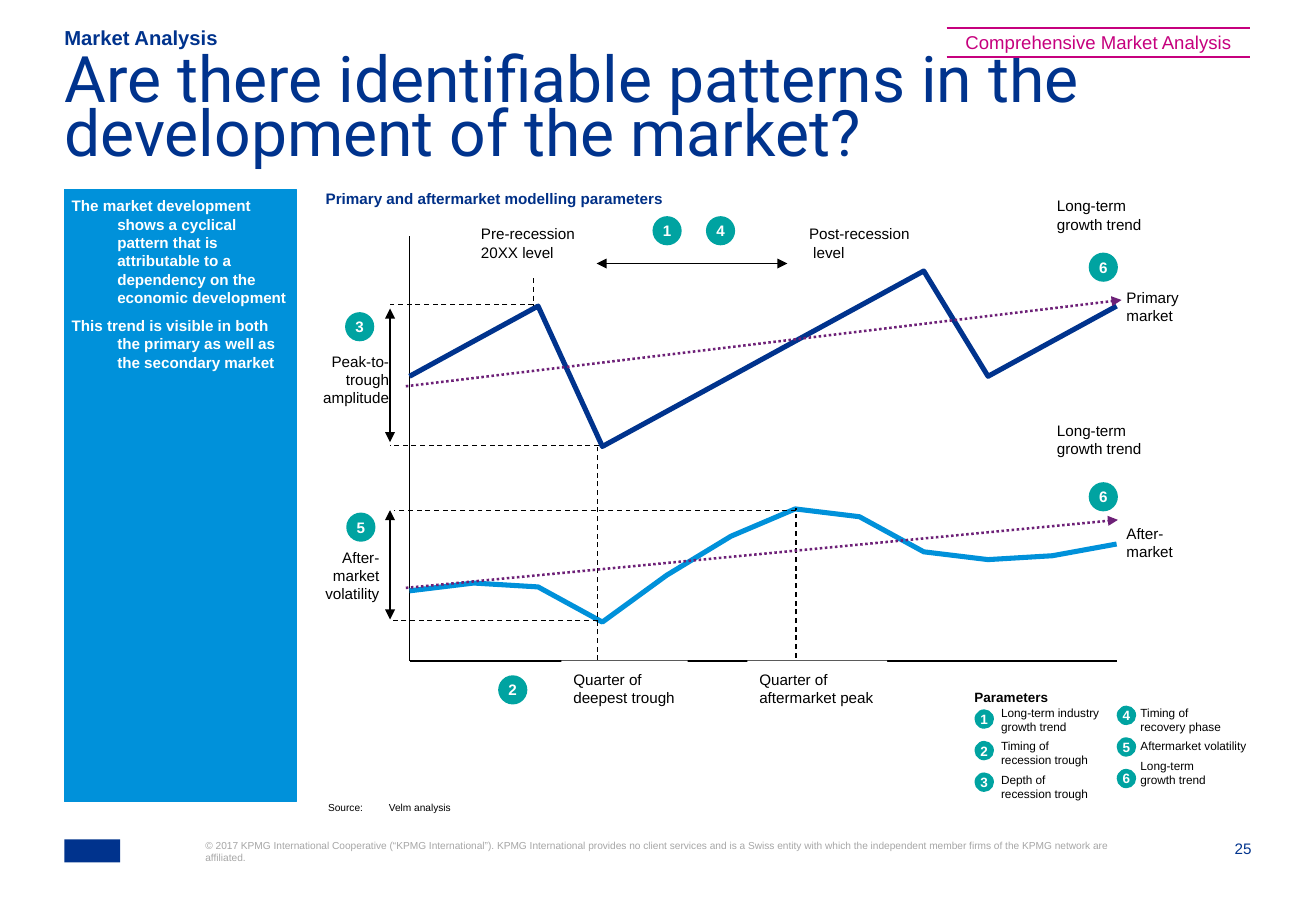
import copy
from typing import Any, NamedTuple

import pptx
import pptx.chart.data
import pptx.dml.color
import pptx.enum.chart
import pptx.enum.dml
import pptx.enum.shapes
import pptx.enum.text
import pptx.oxml
import pptx.oxml.ns
import pptx.util

Inches, Pt, qn = pptx.util.Inches, pptx.util.Pt, pptx.oxml.ns.qn
Align, Anchor = pptx.enum.text.PP_ALIGN, pptx.enum.text.MSO_ANCHOR
Fit, Dash = pptx.enum.text.MSO_AUTO_SIZE, pptx.enum.dml.MSO_LINE
Preset = pptx.enum.shapes.MSO_SHAPE
HUES = {"navy": "00338D", "head": "003087", "blue": "0091DA", "teal": "00A3A1", "pink": "C6007E",
        "plum": "6D2077", "gray": "A6A6A6", "black": "000000", "white": "FFFFFF"}


class Box(NamedTuple):
    left: float
    top: float
    width: float
    height: float


class Look(NamedTuple):
    size: float = 9
    hue: str = "black"
    bold: bool = False
    align: Any = Align.LEFT
    anchor: Any = Anchor.TOP
    pad: tuple[float, float] = (0, 0)
    wrap: bool = True
    grow: bool = False
    before: float = 0
    after: float = 0
    lead: float = 1
    font: str = "Arial"


class Label(NamedTuple):
    text: str
    box: Box
    look: Look
    fill: str = ""


class Badge(NamedTuple):
    text: str
    left: float
    top: float


class Stroke(NamedTuple):
    start: tuple[float, float]
    end: tuple[float, float]
    hue: str = "black"
    width: float = 0.75
    dash: Any = None
    heads: tuple[str, ...] = ()


def put(item: Any, values: dict[str, Any]) -> None:
    for name, value in values.items():
        setattr(item, name, value)


def tint(name: str) -> Any:
    return pptx.dml.color.RGBColor.from_string(HUES[name])


def node(tag: str, **values: Any) -> Any:
    made = pptx.oxml.parse_xml(f'<{tag} {pptx.oxml.ns.nsdecls(tag.split(":")[0])}/>')
    for name, value in values.items():
        made.set(name, str(value))
    return made


def place(shape: Any, box: Box) -> None:
    put(shape, {name: Inches(value) for name, value in box._asdict().items()})


def write(shape: Any, texts: list[str], look: Look) -> None:
    """Fill a shape with one paragraph per text; a newline breaks the line."""
    frame = shape.text_frame
    side, edge = map(Inches, look.pad)
    put(frame, {"word_wrap": look.wrap, "vertical_anchor": look.anchor,
                "auto_size": Fit.SHAPE_TO_FIT_TEXT if look.grow else Fit.NONE,
                "margin_left": side, "margin_right": side,
                "margin_top": edge, "margin_bottom": edge})
    for spot, text in enumerate(texts):
        para = frame.add_paragraph() if spot else frame.paragraphs[0]
        para.text = text
        if shape.is_placeholder:
            props = para._p.get_or_add_pPr()
            put(props, {"marL": 0, "indent": 0})
            props.append(node("a:buNone"))
        put(para, {"alignment": look.align, "line_spacing": look.lead,
                   "space_before": Pt(look.before if spot else 0), "space_after": Pt(look.after)})
        for run in para.runs:
            put(run.font, {"name": look.font, "size": Pt(look.size), "bold": look.bold})
            run.font.color.rgb = tint(look.hue)
        for gap in para._p.findall(qn("a:br")):
            gap.append(copy.deepcopy(para.runs[0]._r.rPr))


def add_box(shapes: Any, box: Box, fill: str = "", kind: Any = Preset.RECTANGLE) -> Any:
    area = [Inches(value) for value in box]
    if not fill:
        return shapes.add_textbox(*area)
    shape = shapes.add_shape(kind, *area)
    shape.shadow.inherit = False
    shape.fill.solid()
    shape.fill.fore_color.rgb = tint(fill)
    shape.line.fill.background()
    return shape


def add_label(shapes: Any, label: Label) -> None:
    write(add_box(shapes, label.box, label.fill), [label.text], label.look)


def add_badge(shapes: Any, badge: Badge, width: float, size: float) -> None:
    dot = add_box(shapes, Box(badge.left, badge.top, width, width), "teal", Preset.OVAL)
    write(dot, [badge.text], Look(size, "white", True, Align.CENTER, Anchor.MIDDLE, (0.1, 0), False))


def add_stroke(shapes: Any, stroke: Stroke) -> None:
    ends = [Inches(value) for value in stroke.start + stroke.end]
    line = shapes.add_connector(pptx.enum.shapes.MSO_CONNECTOR.STRAIGHT, *ends)
    line.line.color.rgb = tint(stroke.hue)
    put(line.line, {"width": Pt(stroke.width), "dash_style": stroke.dash})
    props = line._element.spPr
    for head in stroke.heads:
        props.find(qn("a:ln")).append(node(f"a:{head}", type="triangle"))
    props.append(node("a:effectLst"))


def add_graph(shapes: Any, box: Box) -> None:
    data = pptx.chart.data.CategoryChartData()
    data.categories = [str(month) for month in range(1, 13)]
    data.add_series("Series 1", (73, 82, 91, 55, 64, 73, 82, 91, 100, 73, 82, 91))
    data.add_series("Series 2", (18, 20, 19, 10, 22, 32, 39, 37, 28, 26, 27, 30))
    kind = pptx.enum.chart.XL_CHART_TYPE.LINE
    chart = shapes.add_chart(kind, *[Inches(value) for value in box], data).chart
    put(chart, {"has_legend": False, "has_title": False})
    put(chart.font, {"name": "Arial", "size": Pt(12), "bold": True})
    chart.font.color.rgb = tint("black")
    none = pptx.enum.chart.XL_TICK_MARK.NONE
    for axis in (chart.category_axis, chart.value_axis):
        put(axis, {"has_major_gridlines": False, "major_tick_mark": none, "minor_tick_mark": none,
                   "tick_label_position": pptx.enum.chart.XL_TICK_LABEL_POSITION.NONE})
        axis.format.line.color.rgb = tint("black")
        axis.format.line.width = Pt(1)
    scale = chart.value_axis._element
    for old in scale.findall(qn("c:crossBetween")):
        scale.remove(old)
    scale.find(qn("c:crosses")).addnext(node("c:crossBetween", val="midCat"))
    put(chart.value_axis, {"minimum_scale": 0, "maximum_scale": 109, "major_unit": 1})
    chart.plots[0].vary_by_categories = False
    for series, hue in zip(chart.plots[0].series, ("navy", "blue")):
        series.smooth = False
        series.marker.style = pptx.enum.chart.XL_MARKER_STYLE.NONE
        series.format.line.color.rgb = tint(hue)
        series.format.line.width = Pt(3)
    plot = chart._chartSpace.chart.plotArea
    for old in plot.findall(qn("c:layout")):
        plot.remove(old)
    frame, manual = node("c:layout"), node("c:manualLayout")
    frame.append(manual)
    for name, value in {"layoutTarget": "inner", "xMode": "edge", "yMode": "edge",
                        "x": 0.02, "y": 0.02, "w": 0.97, "h": 0.97}.items():
        manual.append(node(f"c:{name}", val=value))
    plot.insert(0, frame)


NOTE = Look(pad=(0.1, 0), wrap=False, grow=True)
RIGHT = NOTE._replace(align=Align.RIGHT)
MARKET = Look(anchor=Anchor.MIDDLE, wrap=False)
QUARTER = NOTE._replace(pad=(0.1, 0.08))
BOTH = ("headEnd", "tailEnd")
LEGAL = ("© 2017 KPMG International Cooperative (“KPMG International”). KPMG International provides no client "
         "services and is a Swiss entity with which the independent member firms of the KPMG network are affiliated.")
LABELS = [
    Label("25", Box(9.87, 6.91, 0.43, 0.16), Look(hue="navy", align=Align.RIGHT)),
    Label(LEGAL, Box(1.69, 6.91, 7.49, 0.41), Look(6, "gray")),
    Label("Primary and aftermarket modelling parameters", Box(2.68, 1.56, 3.72, 0.25),
          Look(hue="head", bold=True, after=6)),
    Label("After-\nmarket", Box(9.27, 4.33, 0.34, 0.27), MARKET),
    Label("Primary\nmarket", Box(9.27, 2.39, 0.38, 0.27), MARKET),
    Label("Peak-to-\ntrough\namplitude", Box(2.55, 2.9, 0.75, 0.45), RIGHT),
    Label("After-\nmarket\nvolatility", Box(2.57, 4.51, 0.65, 0.45), RIGHT),
    Label("Pre-recession\n20XX level", Box(3.86, 1.85, 0.98, 0.3), NOTE),
    Label("Post-recession\n level", Box(6.56, 1.85, 1.04, 0.3), NOTE),
    Label("Quarter of\ndeepest trough", Box(4.62, 5.44, 1.04, 0.46), QUARTER, "white"),
    Label("Quarter of\naftermarket peak", Box(6.15, 5.44, 1.15, 0.46), QUARTER, "white"),
    *[Label("Long-term\ngrowth trend", Box(8.6, top, 0.9, 0.3), NOTE) for top in (1.62, 3.47)],
]
GUIDES = [((4.39, 2.51), (3.21, 2.51)), ((4.93, 3.67), (3.21, 3.67)), ((4.92, 5.58), (4.92, 3.67)),
          ((4.39, 2.29), (4.39, 2.52)), ((6.55, 5.63), (6.55, 4.18)), ((4.92, 5.11), (3.21, 5.11)),
          ((6.55, 4.2), (3.24, 4.2))]
SPANS = [((3.21, 2.54), (3.21, 3.64)), ((6.48, 2.17), (4.91, 2.17)), ((3.21, 4.2), (3.21, 5.1))]
TRENDS = [((3.34, 4.84), (9.2, 4.28)), ((3.34, 3.18), (9.23, 2.47))]
STROKES = ([Stroke(*ends, dash=Dash.DASH) for ends in GUIDES]
           + [Stroke(*ends, heads=BOTH) for ends in SPANS]
           + [Stroke(*ends, "plum", 1.5, Dash.ROUND_DOT, ("tailEnd",)) for ends in TRENDS])
BADGES = [Badge("1", 5.37, 1.78), Badge("4", 5.81, 1.78), Badge("6", 8.96, 3.97), Badge("5", 2.85, 4.22),
          Badge("3", 2.84, 2.57), Badge("2", 4.1, 5.56), Badge("6", 8.96, 2.08)]
LEGEND = ["Long-term industry\ngrowth trend", "Timing of\nrecession trough", "Depth of\nrecession trough",
          "Timing of\nrecovery phase", "Aftermarket volatility", "Long-term\ngrowth trend"]


def fill_holders(slide: Any) -> None:
    title, panel, topic = slide.placeholders
    place(title, Box(0.53, 0.49, 9.75, 0.79))
    write(title, ["Are there identifiable patterns in the development of the market?"],
          Look(38, "navy", lead=0.7, font="Roboto"))
    place(panel, Box(0.53, 1.56, 1.91, 5.04))
    panel.fill.solid()
    panel.fill.fore_color.rgb = panel.line.color.rgb = tint("blue")
    panel.line.width = Pt(0.75)
    write(panel, ["The market development shows a cyclical pattern that is attributable to a dependency on "
                  "the economic development",
                  "This trend is visible in both the primary as well as the secondary market"],
          Look(hue="white", bold=True, pad=(0.06, 0.06), after=6))
    place(topic, Box(0.53, 0.22, 9.4, 0.19))
    write(topic, ["Market Analysis"], Look(12, "navy", True, anchor=Anchor.BOTTOM))


def add_tag(shapes: Any) -> None:
    add_label(shapes, Label("Comprehensive Market Analysis", Box(7.79, 0.23, 2.5, 0.24),
                            Look(11, "pink", align=Align.CENTER, anchor=Anchor.MIDDLE), "white"))
    for level in (0.23, 0.47):
        add_stroke(shapes, Stroke((7.79, level), (10.29, level), "pink", 1.5))


def add_legend(shapes: Any) -> None:
    block = add_box(shapes, Box(8.14, 5.76, 2.49, 0.91))
    write(block, LEGEND, Look(7, pad=(0.1, 0.05), before=3))
    block.text_frame._txBody.bodyPr.set("numCol", "2")
    for spot in range(len(LEGEND)):
        side, row = divmod(spot, 3)
        add_badge(shapes, Badge(str(spot + 1), 8.02 + 1.17 * side, 5.84 - 0.03 * side + 0.26 * row), 0.16, 8)
    add_label(shapes, Label("Parameters", Box(7.92, 5.67, 0.82, 0.13), NOTE._replace(size=8, bold=True)))


def add_source(shapes: Any) -> None:
    source = add_box(shapes, Box(2.7, 6.6, 4.99, 0.1))
    write(source, ["Source:\tVelm analysis"], Look(6, anchor=Anchor.BOTTOM, grow=True))
    put(source.text_frame.paragraphs[0]._p.pPr, {"marL": Inches(0.41), "indent": -Inches(0.41)})


def main() -> None:
    deck = pptx.Presentation()
    put(deck, {"slide_width": Inches(10.83), "slide_height": Inches(7.5)})
    slide = deck.slides.add_slide(deck.slide_layouts.get_by_name("Two Content"))
    shapes = slide.shapes
    fill_holders(slide)
    add_box(shapes, Box(0.53, 6.91, 0.46, 0.19), "navy")
    add_tag(shapes.add_group_shape().shapes)
    add_graph(shapes, Box(3.25, 1.87, 6, 3.61))
    for stroke in STROKES:
        add_stroke(shapes, stroke)
    for label in LABELS:
        add_label(shapes, label)
    for badge in BADGES:
        add_badge(shapes, badge, 0.24, 9)
    add_legend(shapes.add_group_shape().shapes)
    add_source(shapes)
    deck.save("out.pptx")


if __name__ == "__main__":
    main()
